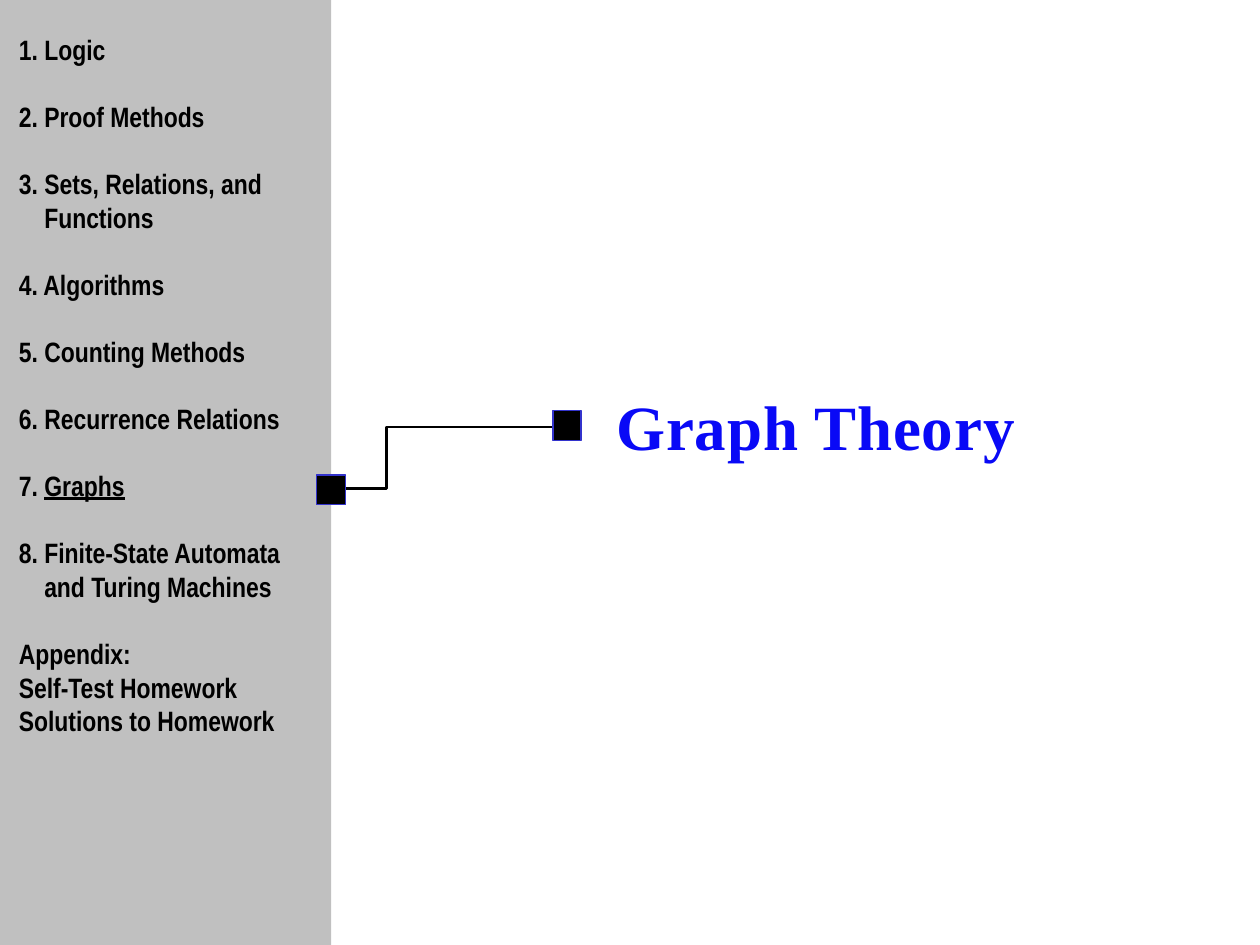
import pptx
import pptx.util
import pptx.dml.color
import pptx.enum.shapes
import pptx.enum.text
from lxml import etree
from dataclasses import dataclass

Pt = pptx.util.Pt
RGB = pptx.dml.color.RGBColor.from_string
RECT = pptx.enum.shapes.MSO_SHAPE.RECTANGLE


@dataclass
class Theme:
    sidebar: str = "C0C0C0"
    ink: str = "000000"
    edge: str = "3333CC"
    title_top: str = "0909F6"
    title_end: str = "0101B3"
    title_font: str = "Times New Roman"
    list_font: str = "Arial Narrow"
    title_size: int = 36
    list_size: int = 16
    line_pitch: float = 19.15


theme = Theme()

# (text, underlined part, starts a new group)
CHAPTERS = [
    ("1. Logic", "", False),
    ("2. Proof Methods", "", True),
    ("3. Sets, Relations, and\vFunctions", "", True),
    ("4. Algorithms", "", True),
    ("5. Counting Methods", "", True),
    ("6. Recurrence Relations", "", True),
    ("7. ", "Graphs", True),
    ("8. Finite-State Automata\vand Turing Machines", "", True),
    ("Appendix:", "", True),
    ("Self-Test Homework", "", False),
    ("Solutions to Homework", "", False),
]


def add_text(p, text, font, size, color=None, underline=False):
    """Add bold text to a paragraph; a vertical tab breaks the line."""
    for i, part in enumerate(text.split("\v")):
        if i:
            p.add_line_break()
        r = p.add_run()
        r.text = part
        r.font.name, r.font.size, r.font.bold = font, Pt(size), True
        r.font.underline = underline
        if color:
            r.font.fill.solid()
            r.font.fill.fore_color.rgb = RGB(color)
    return r


def place(sp, x, y, w, h):
    sp.left, sp.top, sp.width, sp.height = Pt(x), Pt(y), Pt(w), Pt(h)


def set_frame(tf, wrap, top):
    tf.word_wrap = wrap
    tf.auto_size = pptx.enum.text.MSO_AUTO_SIZE.NONE
    tf.vertical_anchor = pptx.enum.text.MSO_ANCHOR.TOP
    tf.margin_left = tf.margin_right = Pt(7.2)
    tf.margin_top, tf.margin_bottom = Pt(top), Pt(0)


def add_box(slide, x, y, w, h, fill, line=None):
    sp = slide.shapes.add_shape(RECT, Pt(x), Pt(y), Pt(w), Pt(h))
    sp.shadow.inherit = False
    sp.fill.solid()
    sp.fill.fore_color.rgb = RGB(fill)
    if line:
        sp.line.color.rgb = RGB(line)
        sp.line.width = Pt(0.75)
    else:
        sp.line.fill.background()
    return sp


def add_sidebar(slide, x, y, w, h):
    # Grey panel, sent behind the list
    panel = add_box(slide, x, y, w, h, theme.sidebar)
    slide.shapes._spTree.insert(2, panel._element)

    # Chapter list
    body = slide.placeholders[1]
    place(body, x + 4.3, y + 15.1, w - 2, 434)
    tf = body.text_frame
    set_frame(tf, True, 3.6)
    for i, (text, marked, new_group) in enumerate(CHAPTERS):
        p = tf.paragraphs[0] if i == 0 else tf.add_paragraph()
        p.alignment = pptx.enum.text.PP_ALIGN.LEFT
        p.space_before = Pt(theme.line_pitch if new_group else 0)
        pPr = p._p.get_or_add_pPr()
        pPr.set("marL", str(Pt(14.5)))
        pPr.set("indent", str(-Pt(14.5)))
        etree.SubElement(pPr, pptx.oxml.ns.qn("a:buNone"))
        add_text(p, text, theme.list_font, theme.list_size, theme.ink)
        if marked:
            add_text(p, marked, theme.list_font, theme.list_size, theme.ink, underline=True)


def add_title(slide, x, y, w, h):
    title = slide.shapes.title
    place(title, x, y, w, h)
    set_frame(title.text_frame, False, 7.5)
    p = title.text_frame.paragraphs[0]
    p.alignment = pptx.enum.text.PP_ALIGN.LEFT
    r = add_text(p, "Graph Theory", theme.title_font, theme.title_size)
    r._r.get_or_add_rPr().set("spc", "50")
    fill = r.font.fill
    fill.gradient()
    fill.gradient_angle = 270
    stops = ((0.25, theme.title_top), (1, theme.title_end))
    for stop, (position, color) in zip(fill.gradient_stops, stops):
        stop.position = position
        stop.color.rgb = RGB(color)


def add_pointer(slide, x, y, w, h):
    """Stepped line from the lower left to the upper right, a square at each end."""
    step = x + 38
    builder = slide.shapes.build_freeform(Pt(x), Pt(y + h))
    builder.add_line_segments(
        [(Pt(step), Pt(y + h)), (Pt(step), Pt(y)), (Pt(x + w), Pt(y))], close=False)
    line = builder.convert_to_shape()
    line.shadow.inherit = False
    line.fill.background()
    line.line.color.rgb = RGB(theme.ink)
    line.line.width = Pt(1.5)
    add_box(slide, x + w, y - 9.2, 16, 17, theme.ink, theme.edge)
    add_box(slide, x - 2, y + h - 7.6, 16.5, 17, theme.ink, theme.edge)


prs = pptx.Presentation()
prs.slide_width, prs.slide_height = Pt(720), Pt(540)
slide = prs.slides.add_slide(prs.slide_layouts[1])
add_sidebar(slide, -0.7, 0, 190, 540)
add_title(slide, 345, 214, 245, 51)
add_pointer(slide, 183, 244, 133, 35)
prs.save("out.pptx")
